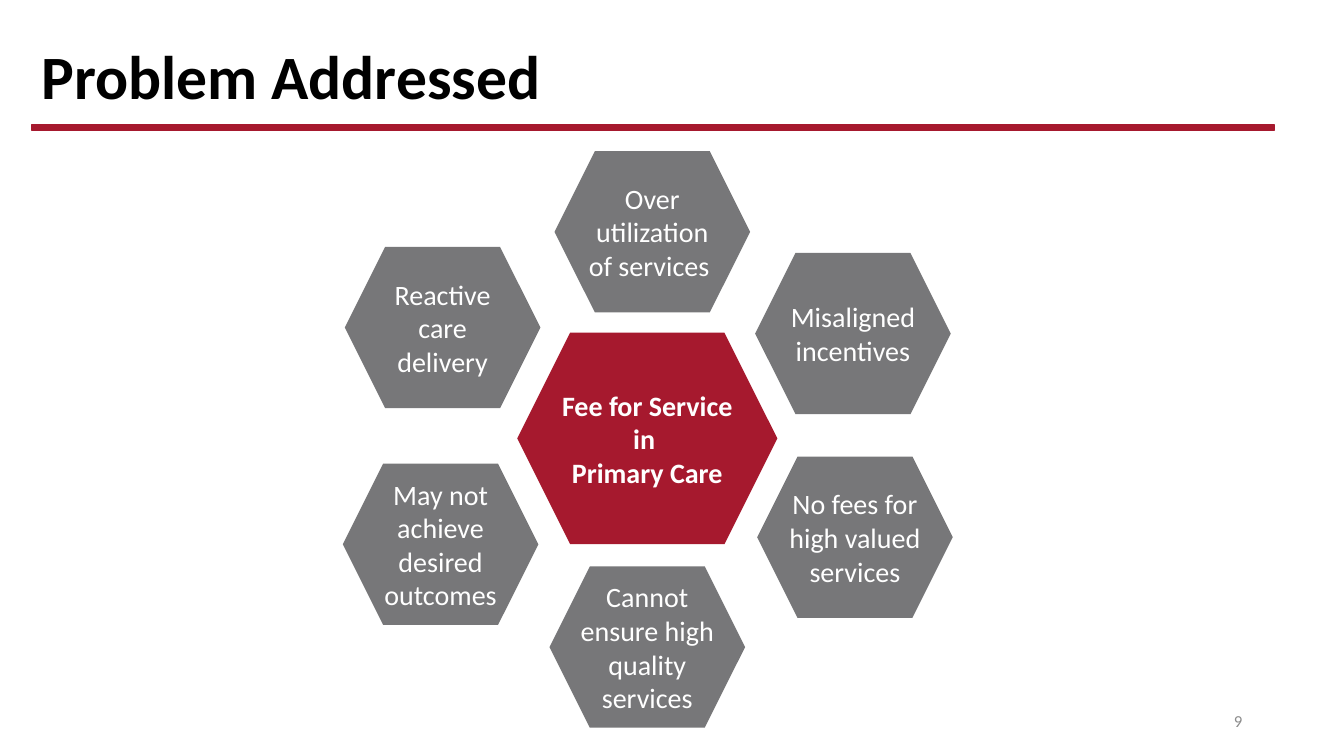
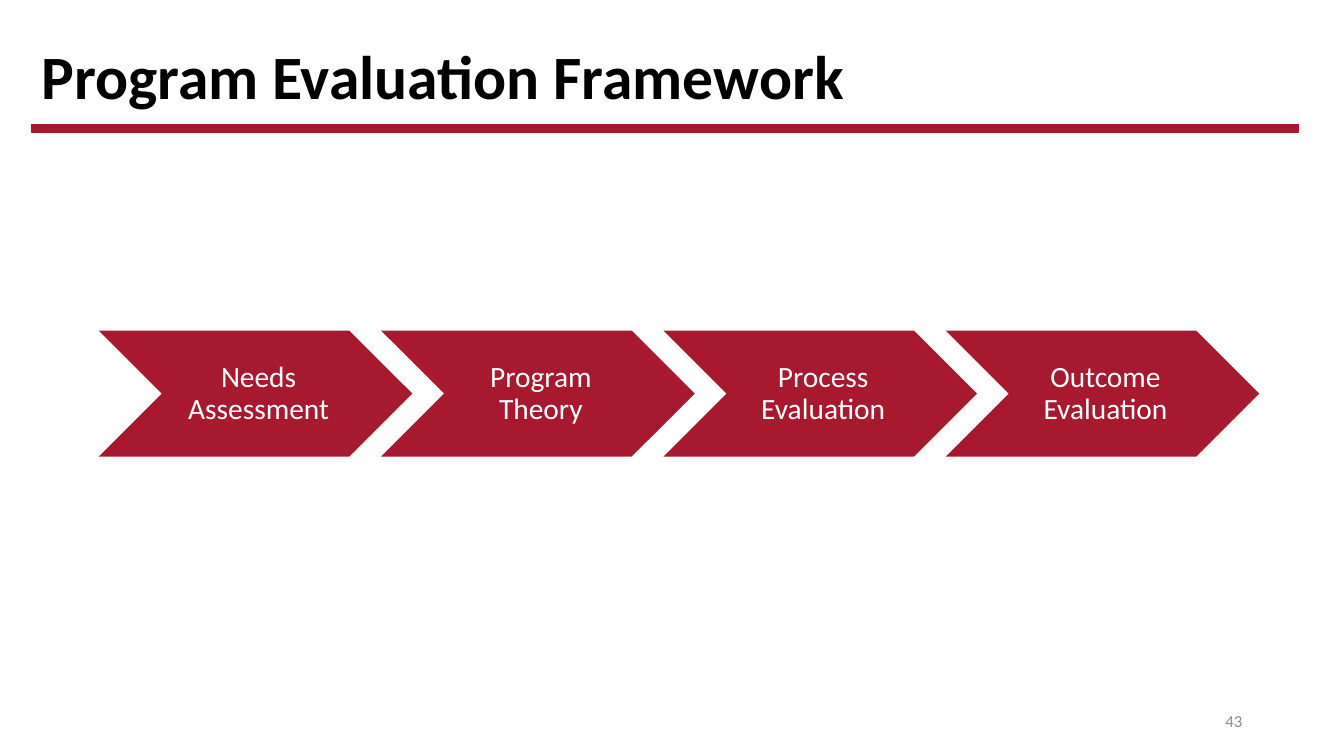
from pptx import Presentation
from pptx import util as u
from pptx.dml.color import RGBColor
from pptx.enum import shapes, text

PX = 9144  # EMU per px, 100 px to the inch
RED = RGBColor(0xA6, 0x19, 0x2E)
GRAY = RGBColor(0x77, 0x77, 0x79)
PALE = RGBColor(0x8C, 0x8C, 0x8C)
BLACK = RGBColor(0, 0, 0)
WHITE = RGBColor(255, 255, 255)
FONT = "Calibri"


def write(frame, words, size=20, color=WHITE, bold=False,
          align=text.PP_ALIGN.CENTER, spacing=1.0, insets=(10, 5, 10, 5)):
    """Fill a text frame, one paragraph per line of words."""
    frame.word_wrap = True
    frame.auto_size = text.MSO_AUTO_SIZE.NONE
    frame.vertical_anchor = text.MSO_ANCHOR.MIDDLE
    (frame.margin_left, frame.margin_top,
     frame.margin_right, frame.margin_bottom) = (n * PX for n in insets)
    frame.text = words
    for paragraph in frame.paragraphs:
        paragraph.alignment = align
        paragraph.line_spacing = spacing
        font = paragraph.runs[0].font
        font.name, font.size, font.bold = FONT, u.Pt(size), bold
        font.color.rgb = color


def block(slide, kind, box, fill):
    """Add a plain filled shape without line or shadow."""
    shape = slide.shapes.add_shape(kind, *(n * PX for n in box))
    shape.shadow.inherit = False
    shape.fill.solid()
    shape.fill.fore_color.rgb = fill
    shape.line.fill.background()
    return shape


deck = Presentation()
deck.slide_width, deck.slide_height = 1333 * PX, 750 * PX

# Title, rule and page number on each slide
pages = []
for heading, number, rule_width, rule_height in (
    ("Problem Addressed", "9", 1233, 5),
    ("Program Evaluation Framework", "43", 1257, 7),
):
    page = deck.slides.add_slide(deck.slide_layouts[5])
    title = page.shapes.title
    title.left, title.top, title.width, title.height = (
        n * PX for n in (31, 33, 1150, 91))
    write(title.text_frame, heading, size=44, color=BLACK, bold=True,
          align=text.PP_ALIGN.LEFT, spacing=0.9)
    rule = block(page, shapes.MSO_SHAPE.RECTANGLE,
                 (31, 124, rule_width, rule_height), RED)
    rule.line.color.rgb = RED
    rule.line.width = u.Pt(1)
    page_number = page.shapes.add_textbox(
        *(n * PX for n in (942, 695, 300, 40)))
    write(page_number.text_frame, number, size=12, color=PALE,
          align=text.PP_ALIGN.RIGHT)
    pages.append(page)
problem, framework = pages

# Central cause
cause = block(problem, shapes.MSO_SHAPE.HEXAGON, (513, 330, 258, 210), RED)
write(cause.text_frame, "Fee for Service in \nPrimary Care", bold=True,
      insets=(0, 0, 0, 0))

# Effects around the cause
for left, top, effect in (
    (749, 251, "Misaligned incentives"),
    (751, 453, "No fees for high valued services"),
    (340, 460, "May not achieve desired outcomes"),
    (342, 245, "Reactive care delivery"),
    (545, 562, "Cannot ensure high quality services"),
    (550, 150, "Over utilization of services "),
):
    hexagon = block(problem, shapes.MSO_SHAPE.HEXAGON,
                    (left, top, 194, 160), GRAY)
    write(hexagon.text_frame, effect, insets=(0, 0, 0, 0))

# Evaluation stages from left to right
STAGES = ("Needs Assessment", "Program Theory",
          "Process Evaluation", "Outcome Evaluation")
for i, stage in enumerate(STAGES):
    chevron = block(framework, shapes.MSO_SHAPE.CHEVRON,
                    (98 + 280 * i, 328, 311, 125), RED)
    write(chevron.text_frame, stage, size=21, spacing=0.9,
          insets=(9, 3, 3, 3))

deck.save("out.pptx")
